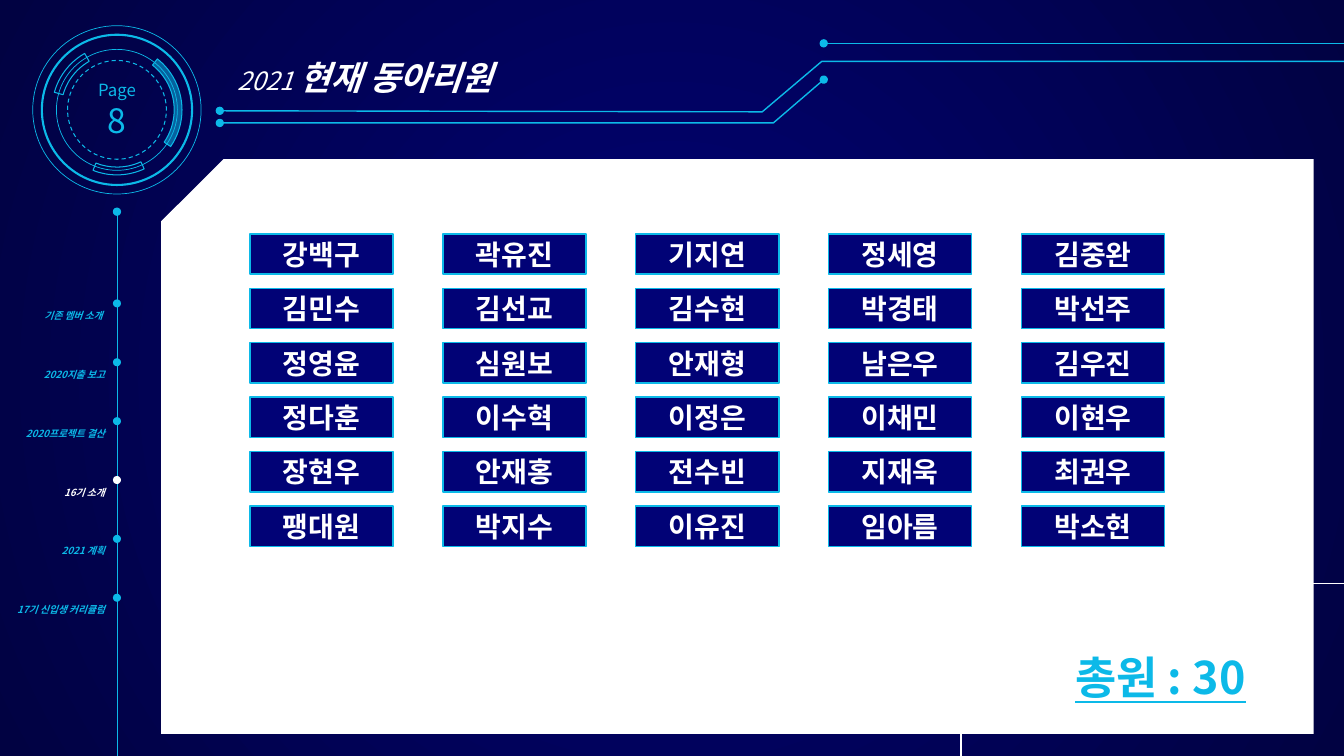
import pptx
import pptx.util
import pptx.dml.color
import pptx.enum.shapes
import pptx.enum.text
import pptx.enum.dml
import pptx.oxml
import pptx.oxml.ns
from pptx.util import Inches

CYAN = pptx.dml.color.RGBColor(0x0C, 0xB9, 0xE8)
WHITE = pptx.dml.color.RGBColor(0xFF, 0xFF, 0xFF)
NAVY = pptx.dml.color.RGBColor(0x01, 0x02, 0x76)
MIDNIGHT = pptx.dml.color.RGBColor(0x01, 0x02, 0x42)
FONT = "Noto Sans CJK KR"
SHAPE = pptx.enum.shapes.MSO_SHAPE
ALIGN = pptx.enum.text.PP_ALIGN
ANCHOR = pptx.enum.text.MSO_ANCHOR

TITLE = [("2021 ", 18, False), ("현재 동아리원", 24, True)]
AGENDA = ["기존 멤버 소개 ", "2020지출 보고", "2020프로젝트 결산",
          "16기 소개", "2021 계획", "17기 신입생 커리큘럼"]
CURRENT = 3
MEMBERS = [
    ["강백구", "곽유진", "기지연", "정세영", "김중완"],
    ["김민수", "김선교", "김수현", "박경태", "박선주"],
    ["정영윤", "심원보", "안재형", "남은우", "김우진"],
    ["정다훈", "이수혁", "이정은", "이채민", "이현우"],
    ["장현우", "안재홍", "전수빈", "지재욱", "최권우"],
    ["팽대원", "박지수", "이유진", "임아름", "박소현"],
]
TOTAL = "총원 : 30"
BADGE = [("Page", 12), ("8", 24)]
BADGE_CENTER = (1.16, 1.09)
RINGS = [(1.49, 1.5), (1.2, 0.5), (1.67, 0.5)]
ARCS = [(185.07, 20.62, 0.06), (117.42, 144.14, 0.07), (39.14, 66.95, 0.06)]
CIRCUITS = [
    ([(2.18, 1.22), (7.67, 1.22), (8.17, 0.79)], ["headEnd", "tailEnd"]),
    ([(2.18, 1.1), (7.56, 1.11), (8.15, 0.61), (13.36, 0.61)], ["headEnd"]),
]
RAILS = [(8.17, 0.43, 13.33, 0.43), (1.16, 2.1, 1.16, 7.5)]
GRID_LEFT, GRID_TOP = 2.48, 2.32
COLUMN_STEP, ROW_STEP = (10.13 - 2.48) / 4, 0.54
DOT_TOP, DOT_STEP, DOT_SIZE = 2.97, (5.89 - 2.97) / 5, 0.08


def style_run(span, size, color, bold=False, italic=False):
    span.font.name = FONT
    span.font.size = pptx.util.Pt(size)
    span.font.color.rgb = color
    span.font.bold = bold
    span.font.italic = italic
    east_asian = pptx.oxml.parse_xml(
        f'<a:ea {pptx.oxml.ns.nsdecls("a")} typeface="{FONT}"/>')
    span.font._element.find(pptx.oxml.ns.qn("a:latin")).addnext(east_asian)


def add_box(shapes, kind, left, top, width, height, fill=None, line=None, weight=1):
    box = shapes.add_shape(kind, Inches(left), Inches(top), Inches(width), Inches(height))
    box.shadow.inherit = False
    paint(box, fill, line, weight)
    return box


def paint(box, fill, line, weight):
    if fill is None:
        box.fill.background()
    else:
        box.fill.solid()
        box.fill.fore_color.rgb = fill
    if line is None:
        box.line.fill.background()
    else:
        box.line.color.rgb = line
        box.line.width = pptx.util.Pt(weight)


def add_ends(line, ends):
    outline = line.line._get_or_add_ln()
    for end in ends:
        outline.append(pptx.oxml.parse_xml(
            f'<a:{end} {pptx.oxml.ns.nsdecls("a")} type="oval"/>'))


def fill_background(page):
    fill = page.background.fill
    fill.gradient()
    for stop, color in zip(fill.gradient_stops, (NAVY, MIDNIGHT)):
        stop.color.rgb = color
    gradient = page.element.find(".//" + pptx.oxml.ns.qn("a:gradFill"))
    linear = gradient.find(pptx.oxml.ns.qn("a:lin"))
    gradient.replace(linear, pptx.oxml.parse_xml(
        f'<a:path {pptx.oxml.ns.nsdecls("a")} path="circle">'
        '<a:fillToRect l="50000" t="50000" r="50000" b="50000"/></a:path>'))


def add_badge(page):
    shapes = page.shapes.add_group_shape().shapes

    def centered(kind, size, weight):
        x, y = (center - size / 2 for center in BADGE_CENTER)
        return add_box(shapes, kind, x, y, size, size, line=CYAN, weight=weight)

    for size, weight in RINGS:
        centered(SHAPE.OVAL, size, weight)
    for index, angles in enumerate(ARCS):
        arc = centered(SHAPE.BLOCK_ARC, 1.29, 0.75)
        for position, value in enumerate(angles):
            arc.adjustments[position] = value
        if index == 0:
            paint(arc, CYAN, CYAN, 0.75)
            color = arc.fill._xPr.find(".//" + pptx.oxml.ns.qn("a:srgbClr"))
            color.append(pptx.oxml.parse_xml(
                f'<a:alpha {pptx.oxml.ns.nsdecls("a")} val="52000"/>'))
    dial = centered(SHAPE.OVAL, 0.98, 0.75)
    dial.line.dash_style = pptx.enum.dml.MSO_LINE.DASH
    dial.text_frame.text = "\n".join(text for text, size in BADGE)
    for para, (text, size) in zip(dial.text_frame.paragraphs, BADGE):
        para.alignment = ALIGN.CENTER
        style_run(para.runs[0], size, CYAN)


def place(box, left, top, width, height):
    box.left, box.top = Inches(left), Inches(top)
    box.width, box.height = Inches(width), Inches(height)
    box.text_frame.vertical_anchor = ANCHOR.TOP
    box.text_frame.auto_size = pptx.enum.text.MSO_AUTO_SIZE.NONE


def add_title(page):
    title = page.shapes.title
    place(title, 2.26, 0.31, 5.45, 0.71)
    para = title.text_frame.paragraphs[0]
    para.alignment = ALIGN.LEFT
    para.line_spacing = 1.5
    for text, size, bold in TITLE:
        span = para.add_run()
        span.text = text
        style_run(span, size, WHITE, bold, True)


def add_agenda(page):
    agenda = page.placeholders[1]
    place(agenda, -0.07, 2.56, 1.21, 3.64)
    agenda.text_frame.text = "\n".join(AGENDA)
    for index, para in enumerate(agenda.text_frame.paragraphs):
        color = WHITE if index == CURRENT else CYAN
        para.alignment = ALIGN.RIGHT
        para.line_spacing = 5.0
        para.space_before = pptx.util.Pt(0)
        properties = para._p.get_or_add_pPr()
        properties.set("marL", "0")
        properties.set("indent", "0")
        properties.append(pptx.oxml.parse_xml(
            f'<a:buNone {pptx.oxml.ns.nsdecls("a")}/>'))
        style_run(para.runs[0], 7, color, True, True)
        add_box(page.shapes, SHAPE.OVAL, BADGE_CENTER[0] - DOT_SIZE / 2,
                DOT_TOP + index * DOT_STEP, DOT_SIZE, DOT_SIZE, fill=color)


def add_lines(page):
    for points, ends in CIRCUITS:
        corners = [(Inches(x), Inches(y)) for x, y in points]
        builder = page.shapes.build_freeform(*corners[0])
        builder.add_line_segments(corners[1:], close=False)
        circuit = builder.convert_to_shape()
        circuit.shadow.inherit = False
        paint(circuit, None, CYAN, 1)
        add_ends(circuit, ends)
    for ends in RAILS:
        rail = page.shapes.add_connector(
            pptx.enum.shapes.MSO_CONNECTOR.STRAIGHT, *map(Inches, ends))
        rail.line.color.rgb = CYAN
        rail.line.width = pptx.util.Pt(0.5)
        add_ends(rail, ["headEnd"])
        rail._element.spPr.append(pptx.oxml.parse_xml(
            f'<a:effectLst {pptx.oxml.ns.nsdecls("a")}/>'))


def add_members(page):
    panel = add_box(page.shapes, SHAPE.SNIP_1_RECTANGLE, 1.6, 1.58, 11.43, 5.7, fill=WHITE)
    panel.adjustments[0] = 0.108
    panel._element.spPr.xfrm.set("flipH", "1")
    for row, names in enumerate(MEMBERS):
        for column, name in enumerate(names):
            card = add_box(page.shapes, SHAPE.RECTANGLE, GRID_LEFT + column * COLUMN_STEP,
                           GRID_TOP + row * ROW_STEP, 1.42, 0.4, NAVY, CYAN)
            card.text_frame.text = name
            para = card.text_frame.paragraphs[0]
            para.alignment = ALIGN.CENTER
            style_run(para.runs[0], 20, WHITE, True)
    total = add_box(page.shapes, SHAPE.RECTANGLE, 9.53, 5.79, 3.96, 1.92, line=WHITE)
    total.text_frame.text = TOTAL
    para = total.text_frame.paragraphs[0]
    para.alignment = ALIGN.CENTER
    para.line_spacing = 0.9
    style_run(para.runs[0], 32, CYAN, True)
    para.runs[0].font.underline = True


def main():
    deck = pptx.Presentation()
    deck.slide_width, deck.slide_height = Inches(13.33), Inches(7.5)
    page = deck.slides.add_slide(deck.slide_layouts[1])
    fill_background(page)
    add_badge(page)
    add_title(page)
    add_lines(page)
    add_agenda(page)
    add_members(page)
    deck.save("out.pptx")


if __name__ == "__main__":
    main()
